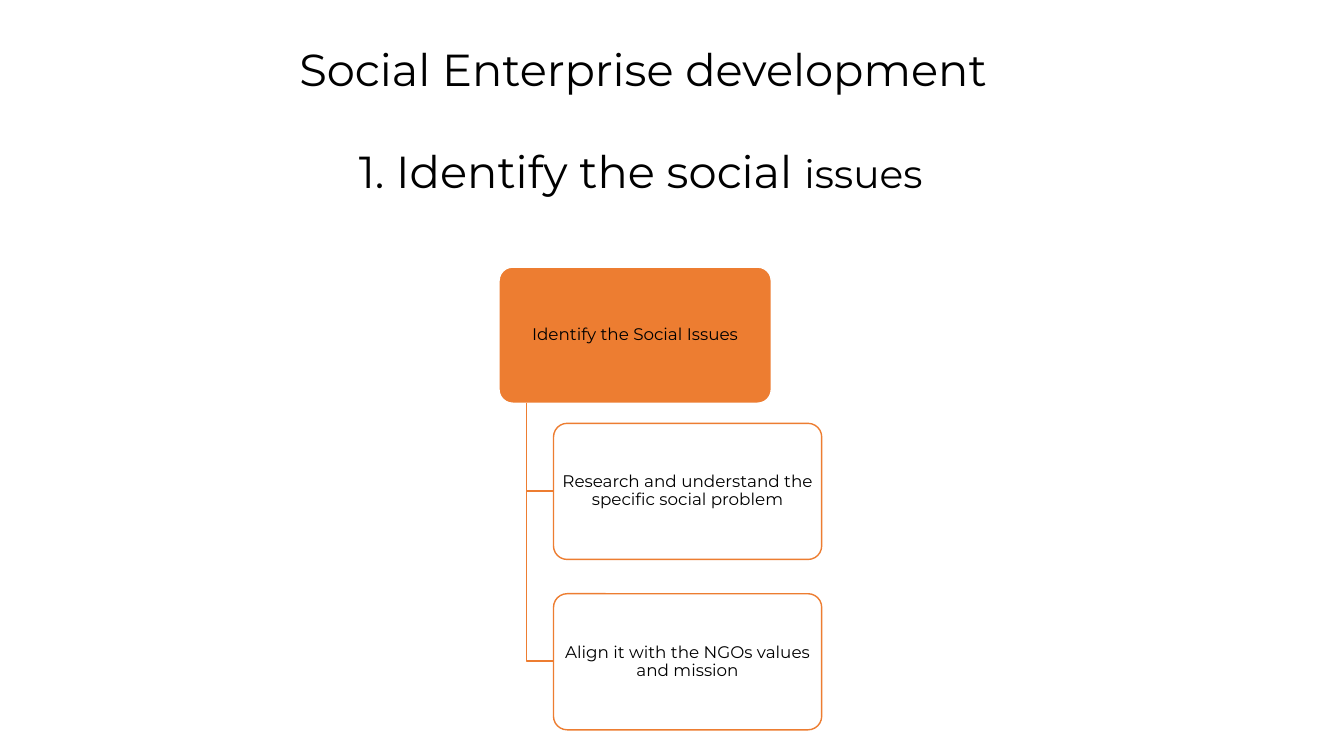
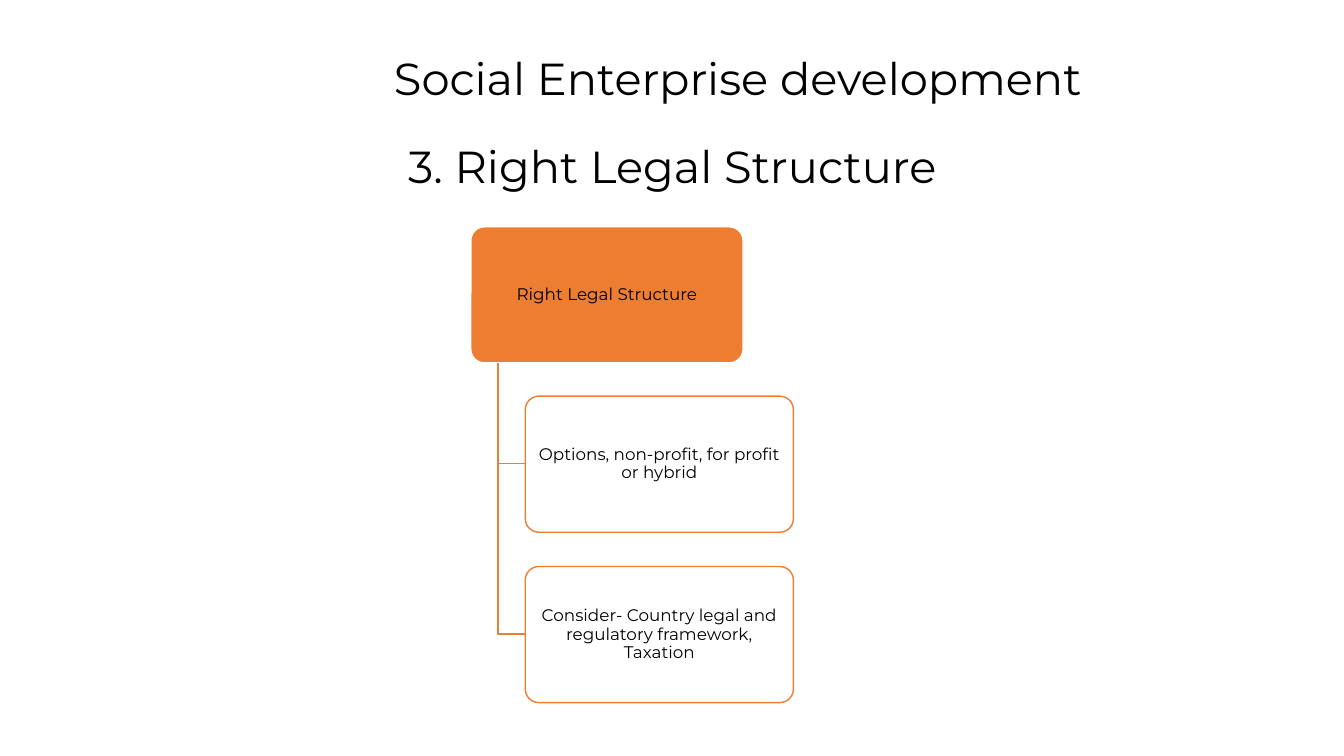
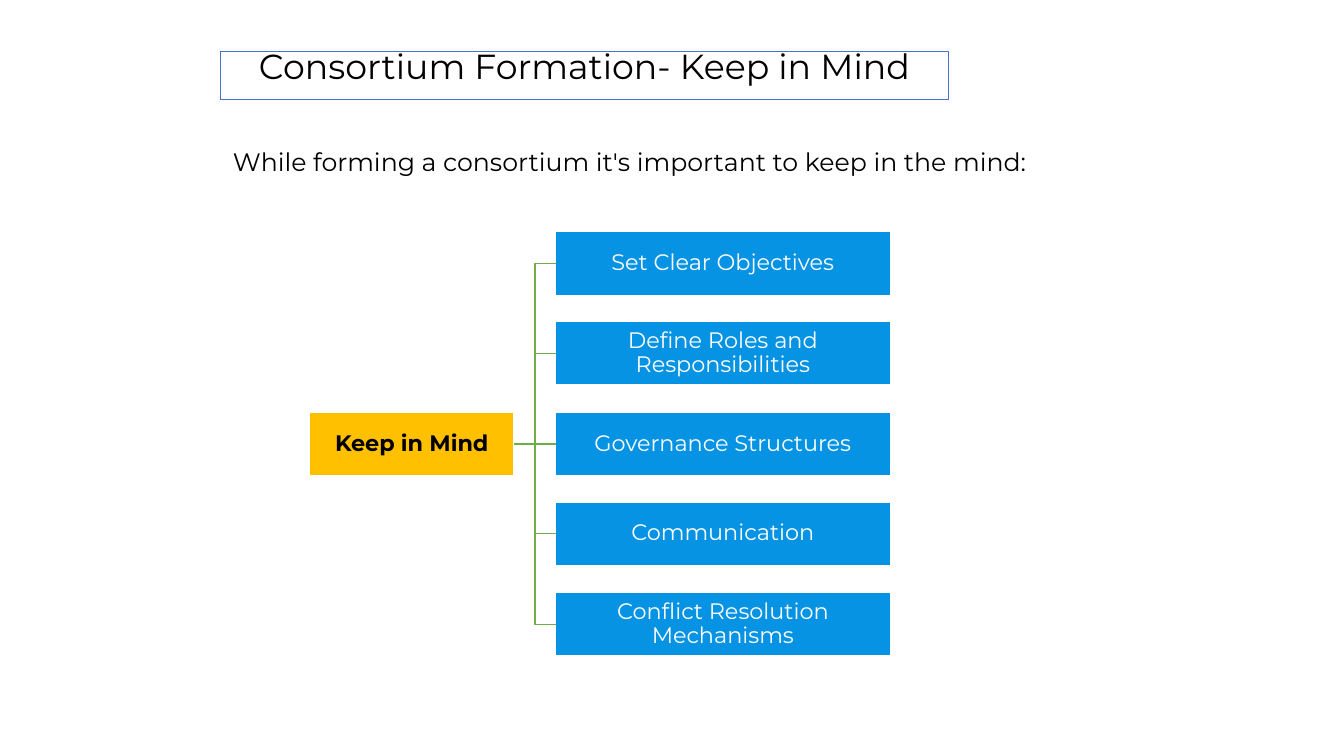
import dataclasses

import pptx
import pptx.dml.color
import pptx.enum.shapes
import pptx.enum.text
import pptx.oxml
import pptx.util

PX = 9144  # one px is a hundredth of an inch
SHAPE = pptx.enum.shapes.MSO_SHAPE
LINK = pptx.enum.shapes.MSO_CONNECTOR
ANCHOR = pptx.enum.text.MSO_ANCHOR
LEFT = pptx.enum.text.PP_ALIGN.LEFT
MID = pptx.enum.text.PP_ALIGN.CENTER


@dataclasses.dataclass(frozen=True)
class Theme:
    font: str = "Montserrat"
    black: str = "000000"
    white: str = "FFFFFF"
    orange: str = "ED7D31"
    amber: str = "FFC000"
    blue: str = "0693E3"
    green: str = "70AD47"
    frame: str = "4472C4"
    title: float = 32
    minor: float = 28
    head: float = 24.8
    lead: float = 18
    item: float = 16
    node: float = 12


THEME = Theme()


def px(*nums):
    return [pptx.util.Emu(num * PX) for num in nums]


def rgb(code):
    return pptx.dml.color.RGBColor.from_string(code)


# Text
def write(frame, text, size, color=THEME.black, align=MID, gap=0.9, bold=False):
    frame.word_wrap = True
    para = frame.paragraphs[0]
    para.alignment = align
    para.line_spacing = gap
    font = para.font
    font.name, font.size, font.bold = THEME.font, pptx.util.Pt(size), bold
    font.color.rgb = rgb(color)
    para.add_run().text = text
    return para


def label(slide, area, text, size, **style):
    box = slide.shapes.add_textbox(*px(*area))
    return write(box.text_frame, text, size, **style)


# Boxes and lines
def block(slide, kind, area, fill, line, width=1):
    shape = slide.shapes.add_shape(kind, *px(*area))
    shape.shadow.inherit = False
    if fill:
        shape.fill.solid()
        shape.fill.fore_color.rgb = rgb(fill)
    else:
        shape.fill.background()
    shape.line.color.rgb = rgb(line)
    shape.line.width = pptx.util.Pt(width)
    return shape


def node(slide, kind, area, text, size, fill, line, pad, **style):
    shape = block(slide, kind, area, fill, line)
    frame = shape.text_frame
    frame.vertical_anchor = ANCHOR.MIDDLE
    frame.margin_left, frame.margin_top = px(*pad)
    frame.margin_right, frame.margin_bottom = px(*pad)
    write(frame, text, size, **style)
    return shape


def stem(slide, start, end):
    (left, top), (right, low) = px(*start), px(*end)
    pen = slide.shapes.build_freeform(left, top)
    pen.add_line_segments([(left, low), (right, low)], close=False)
    shape = pen.convert_to_shape()
    shape.shadow.inherit = False
    shape.fill.background()
    shape.line.color.rgb = rgb(THEME.orange)
    shape.line.width = pptx.util.Pt(1)


def link(slide, root, item, kind):
    line = slide.shapes.add_connector(kind, 0, 0, 0, 0)
    line.begin_connect(root, 3)
    line.end_connect(item, 1)
    line.line.color.rgb = rgb(THEME.green)
    line.line.width = pptx.util.Pt(1)
    props = line._element.spPr
    props.append(pptx.oxml.parse_xml(
        '<a:effectLst xmlns:a="http://schemas.openxmlformats.org/drawingml/2006/main"/>'))


# Diagrams
def tree(slide, left, top, drop, root, kids):
    """Root box with its children hanging from a stem, drop px below its top."""
    high, step, inset = 135, 169, 27

    def card(area, text, fill, line):
        shape = node(slide, SHAPE.ROUNDED_RECTANGLE, area, text, THEME.node,
                     fill, line, (3, 2))
        shape.adjustments[0] = 0.1

    card((left, top, 270, high), root, THEME.orange, THEME.white)
    side = left + 2 * inset
    for rank, text in enumerate(kids):
        row = top + drop + rank * step
        stem(slide, (left + inset, top + high), (side, row + high // 2))
        card((side, row, 266, high), text, THEME.white, THEME.orange)


def fan(slide, root, items):
    """Root box on the left, linked to an evenly spaced column of items."""
    high, first, step = 63, 230, 89.5
    rows = [int(first + rank * step) for rank in range(len(items))]
    mid = len(rows) // 2
    hub = node(slide, SHAPE.RECTANGLE, (307, rows[mid], 203, high), root, THEME.item,
               THEME.amber, THEME.white, (1, 1), bold=True)
    for rank, (row, text) in enumerate(zip(rows, items)):
        item = node(slide, SHAPE.RECTANGLE, (551, row, 332, high), text, THEME.item,
                    THEME.blue, THEME.white, (1, 1), color=THEME.white)
        link(slide, hub, item, LINK.STRAIGHT if rank == mid else LINK.ELBOW)


# Slides
def main():
    deck = pptx.Presentation()
    deck.slide_width, deck.slide_height = px(1333, 750)
    blank = deck.slide_layouts[6]
    topic = "Social Enterprise development"

    # Social issues
    slide = deck.slides.add_slide(blank)
    tree(slide, 495, 265, 155, "Identify the Social Issues",
         ["Research and understand the specific social problem",
          "Align it with the NGOs values and mission"])
    label(slide, (287, 42, 968, 85), topic, THEME.title, align=LEFT)
    para = label(slide, (346, 144, 782, 85), "1. Identify the social ",
                 THEME.title, align=LEFT)
    tail = para.add_run()
    tail.text = "issues"
    tail.font.size = pptx.util.Pt(THEME.minor)

    # Legal structure
    slide = deck.slides.add_slide(blank)
    tree(slide, 467, 225, 168, "Right Legal Structure",
         ["Options, non-profit, for profit or hybrid",
          "Consider- Country legal and regulatory framework, Taxation"])
    label(slide, (248, 51, 968, 85), topic, THEME.title)
    label(slide, (276, 139, 782, 85), "3. Right Legal Structure", THEME.title)

    # Consortium
    slide = deck.slides.add_slide(blank)
    head = block(slide, SHAPE.RECTANGLE, (219, 51, 722, 48), None, THEME.frame, 0.75)
    head.text_frame.vertical_anchor = ANCHOR.TOP
    write(head.text_frame, "Consortium Formation- Keep in Mind", THEME.head, gap=0.7)
    label(slide, (140, 140, 969, 40),
          "While forming a consortium it's important to keep in the mind:",
          THEME.lead, gap=1.0)
    fan(slide, "Keep in Mind",
        ["Set Clear Objectives", "Define Roles and Responsibilities",
         "Governance Structures", "Communication", "Conflict Resolution Mechanisms"])

    deck.save("out.pptx")


if __name__ == "__main__":
    main()
